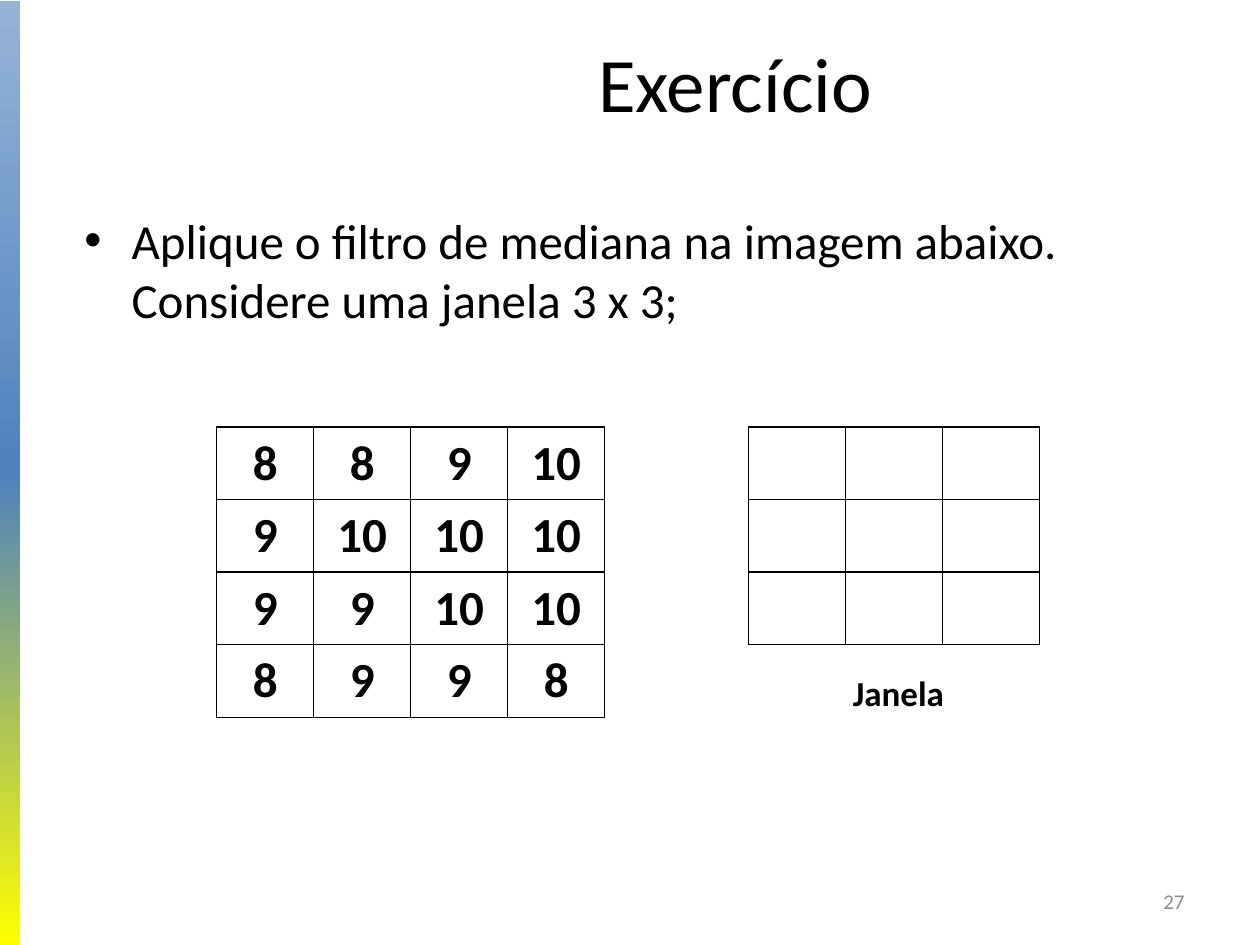
from copy import deepcopy

from lxml import etree
from pptx import Presentation
from pptx.dml.color import RGBColor
from pptx.enum.shapes import MSO_SHAPE
from pptx.enum.text import MSO_ANCHOR, MSO_AUTO_SIZE, PP_ALIGN
from pptx.oxml.ns import qn
from pptx.util import Inches, Pt

RECTANGLE = MSO_SHAPE.RECTANGLE
MIDDLE, TOP = MSO_ANCHOR.MIDDLE, MSO_ANCHOR.TOP
LEFT, CENTER, RIGHT = PP_ALIGN.LEFT, PP_ALIGN.CENTER, PP_ALIGN.RIGHT

BLACK = RGBColor(0x00, 0x00, 0x00)
GRAY = RGBColor(0x8C, 0x8C, 0x8C)
BAR_COLORS = (
    RGBColor(0x95, 0xB3, 0xD7),
    RGBColor(0x4F, 0x81, 0xBD),
    RGBColor(0xFF, 0xFF, 0x00),
)

FONT = "Calibri"
COLUMN, ROW = 0.77, 0.575
GRID_TOP = 3.39
IMAGE_LEFT, WINDOW_LEFT = 1.72, 5.94
IMAGE_VALUES = [
    [8, 8, 9, 10],
    [9, 10, 10, 10],
    [9, 9, 10, 10],
    [8, 9, 9, 8],
]
WINDOW_VALUES = [[""] * 3 for _ in range(3)]


def place(shape, box):
    names = ("left", "top", "width", "height")
    for name, length in zip(names, box):
        setattr(shape, name, Inches(length))


def write(text_frame, text, size, align, color=BLACK, bold=False):
    paragraph = text_frame.paragraphs[0]
    paragraph.alignment = align
    run = paragraph.add_run()
    run.text = text
    run.font.color.rgb = color
    for name, value in {"name": FONT, "size": Pt(size), "bold": bold}.items():
        setattr(run.font, name, value)


def add_side_bar(slide, box):
    bar = slide.shapes.add_shape(RECTANGLE, *map(Inches, box))
    bar.shadow.inherit = False
    bar.line.fill.background()
    bar.fill.gradient()
    bar.fill.gradient_angle = 270
    first_stop = bar.fill.gradient_stops[0]
    stop_list = bar.fill._fill._gradFill.gsLst
    stop_list.insert(1, deepcopy(stop_list[0]))
    first_stop.position = 0
    for index, (stop, color) in enumerate(zip(bar.fill.gradient_stops, BAR_COLORS)):
        stop.color.rgb = color
        stop.position = index / (len(BAR_COLORS) - 1)


def fill_placeholder(shape, box, text, size, align, anchor):
    place(shape, box)
    shape.text_frame.vertical_anchor = anchor
    write(shape.text_frame, text, size, align)


def add_label(slide, box, text, size, align, anchor=TOP, wrap=True, **style):
    label = slide.shapes.add_textbox(*map(Inches, box))
    frame = label.text_frame
    frame.word_wrap = wrap
    frame.auto_size = MSO_AUTO_SIZE.NONE if wrap else MSO_AUTO_SIZE.SHAPE_TO_FIT_TEXT
    frame.vertical_anchor = anchor
    write(frame, text, size, align, **style)


def add_borders(cell):
    properties = cell._tc.get_or_add_tcPr()
    for side in ("a:lnL", "a:lnR", "a:lnT", "a:lnB"):
        line = etree.SubElement(properties, qn(side), w=str(Pt(1)))
        fill = etree.SubElement(line, qn("a:solidFill"))
        etree.SubElement(fill, qn("a:srgbClr"), val=str(BLACK))


def add_pixel_grid(slide, left, top, values):
    """Draw a bordered table with one equal cell for each value."""
    rows, columns = len(values), len(values[0])
    box = (left, top, columns * COLUMN, rows * ROW)
    table = slide.shapes.add_table(rows, columns, *map(Inches, box)).table
    table.first_row = table.horz_banding = False
    for row, row_values in enumerate(values):
        for column, value in enumerate(row_values):
            cell = table.cell(row, column)
            add_borders(cell)
            cell.fill.background()
            if value:
                write(cell.text_frame, str(value), 28, CENTER, bold=True)


def main():
    presentation = Presentation()
    presentation.slide_width = Inches(10)
    presentation.slide_height = Inches(7.5)
    slide = presentation.slides.add_slide(presentation.slide_layouts[1])

    fill_placeholder(slide.shapes.title, (2.17, 0.13, 7.33, 1.03),
                     "Exercício", 44, CENTER, MIDDLE)
    fill_placeholder(
        slide.placeholders[1], (0.57, 1.62, 9, 4.95),
        "Aplique o filtro de mediana na imagem abaixo. Considere uma janela 3 x 3;",
        28, LEFT, TOP)
    add_side_bar(slide, (-0.04, 0.01, 0.2, 7.5))
    add_label(slide, (7.17, 6.95, 2.33, 0.4), "27", 12, RIGHT, MIDDLE, color=GRAY)
    add_pixel_grid(slide, IMAGE_LEFT, GRID_TOP, IMAGE_VALUES)
    add_pixel_grid(slide, WINDOW_LEFT, GRID_TOP, WINDOW_VALUES)
    add_label(slide, (6.67, 5.28, 0.93, 0.44), "Janela", 20, LEFT, wrap=False, bold=True)

    presentation.save("out.pptx")


if __name__ == "__main__":
    main()
